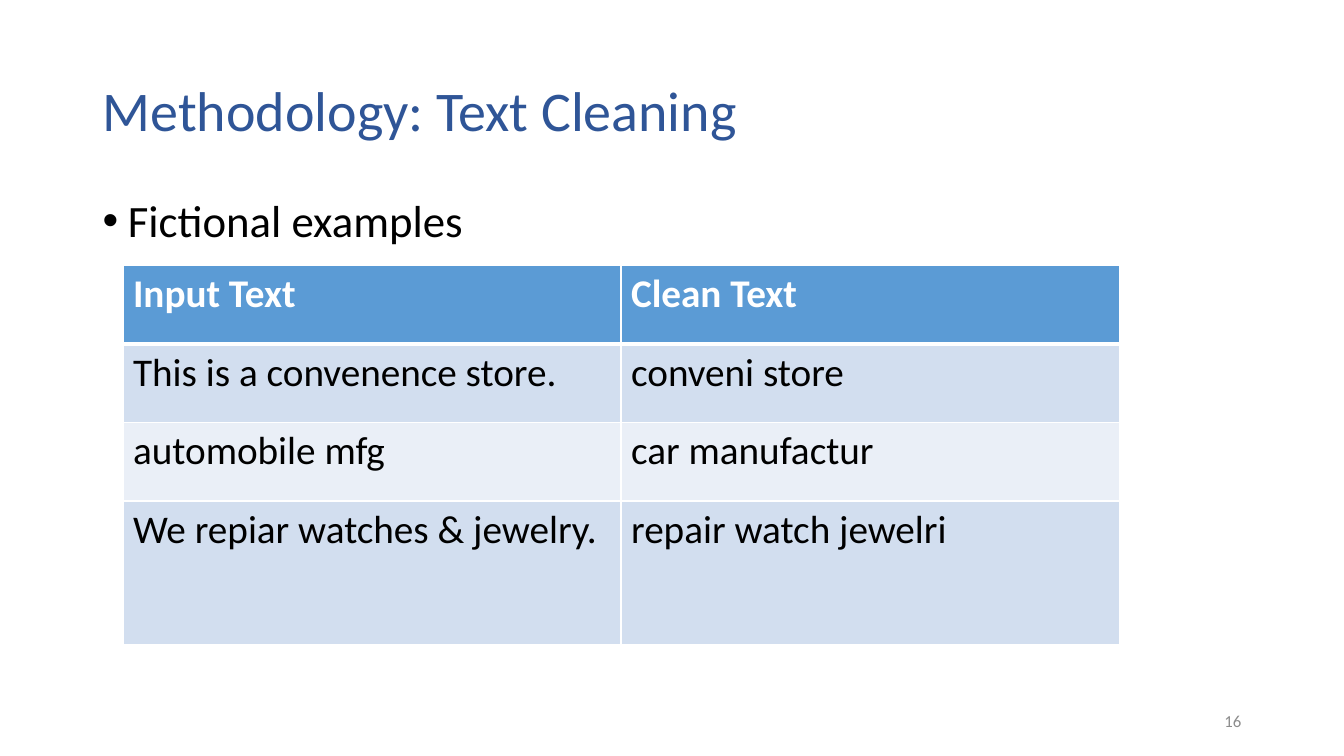
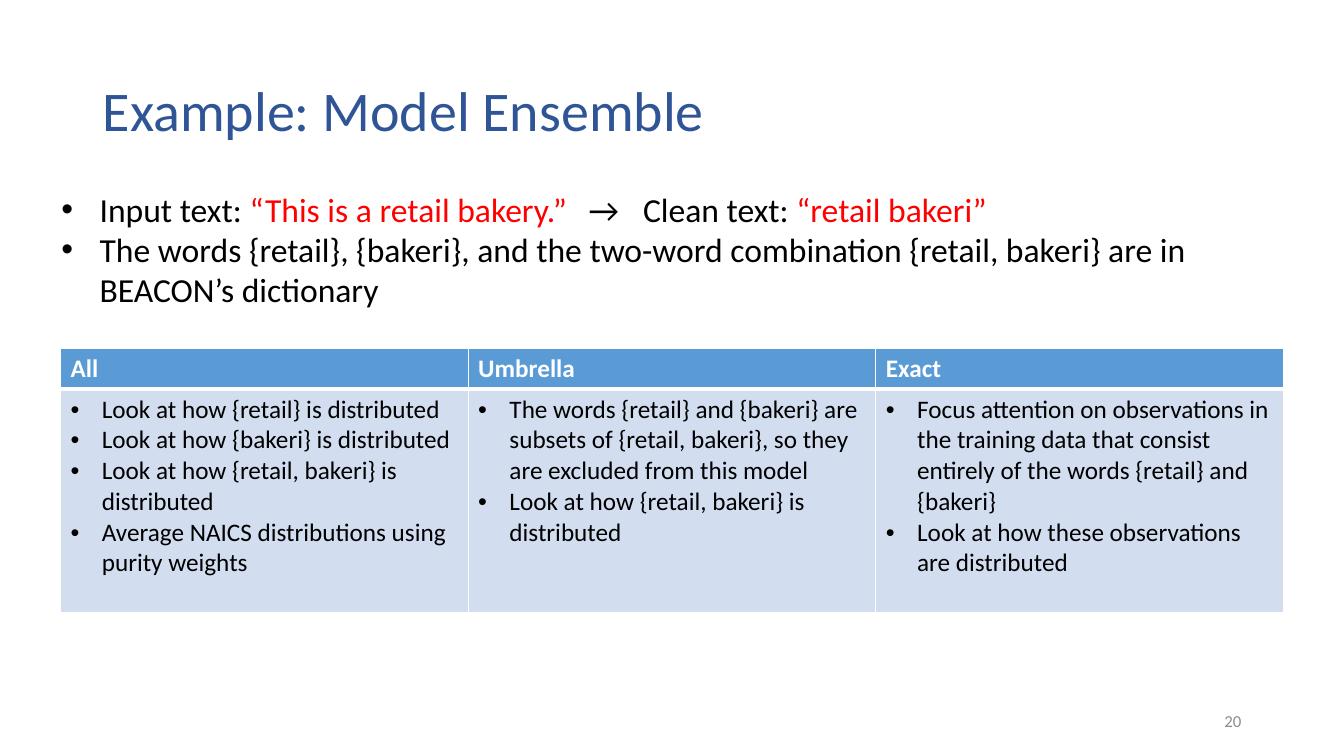
from lxml.etree import SubElement
from pptx import Presentation
from pptx.dml.color import RGBColor as RGB
from pptx.enum.text import MSO_ANCHOR as Anchor, PP_ALIGN as Align
from pptx.oxml import parse_xml
from pptx.oxml.ns import nsdecls, qn
from pptx.util import Inches, Pt

# Shared look
FONT = "Calibri"
NAVY, BLUE, PALE, MIST = "2F5597", "5B9BD5", "D2DEEF", "EAEFF7"
BLACK, WHITE, RED, GRAY = "000000", "FFFFFF", "FF0000", "8C8C8C"
WIDE, HIGH = 13.33, 7.5
EDGE = 0.92

# Content: a paragraph is a string or a list of (text, colour) runs
SLIDES = [
    {
        "title": "Methodology: Text Cleaning",
        "page": "16",
        "text": {
            "box": (EDGE, 1.92, 11.67, 0.65), "size": 32, "hang": 0.25,
            "line": 0.9, "paras": ["Fictional examples"],
        },
        "table": {
            "at": (1.22, 2.63), "width": 9.88, "size": 28,
            "rows": [0.78, 0.78, 0.78, 1.43],
            "head": ["Input Text", "Clean Text"],
            "body": [
                ["This is a convenence store.", "conveni store"],
                ["automobile mfg", "car manufactur"],
                ["We repiar watches & jewelry.", "repair watch jewelri"],
            ],
        },
    },
    {
        "title": "Example: Model Ensemble",
        "page": "20",
        "text": {
            "box": (0.51, 1.82, 11.9, 1.31), "size": 24, "hang": 0.38,
            "tabs": (5.23, 5.77),
            "paras": [
                [("Input text: ", BLACK), ("“This is a retail bakery.”", RED),
                 ("\t→\tClean text: ", BLACK), ("“retail bakeri”", RED)],
                "The words {retail}, {bakeri}, and the two-word combination "
                "{retail, bakeri} are in BEACON’s dictionary",
            ],
        },
        "table": {
            "at": (0.6, 3.46), "width": 12.13, "size": 18, "hang": 0.31,
            "rows": [0.38, 2.22],
            "head": ["All", "Umbrella", "Exact"],
            "body": [[
                ["Look at how {retail} is distributed",
                 "Look at how {bakeri} is distributed",
                 "Look at how {retail, bakeri} is distributed",
                 "Average NAICS distributions using purity weights"],
                ["The words {retail} and {bakeri} are subsets of "
                 "{retail, bakeri}, so they are excluded from this model",
                 "Look at how {retail, bakeri} is distributed"],
                ["Focus attention on observations in the training data that "
                 "consist entirely of the words {retail} and {bakeri}",
                 "Look at how these observations are distributed"],
            ]],
        },
    },
]


def color(code):
    return RGB.from_string(code)


def bullet(para, hang, tabs=()):
    props = para._p.get_or_add_pPr()
    props.set("marL", str(Inches(hang)))
    props.set("indent", str(-Inches(hang)))
    SubElement(props, qn("a:buFont")).set("typeface", "Arial")
    SubElement(props, qn("a:buChar")).set("char", "•")
    if tabs:
        stops = SubElement(props, qn("a:tabLst"))
        for pos in tabs:
            stop = SubElement(stops, qn("a:tab"))
            stop.set("pos", str(Inches(pos)))
            stop.set("algn", "l")


def write(frame, paras, size, ink=BLACK, bold=False, hang=0, tabs=(),
          line=None, align=Align.LEFT):
    frame.word_wrap = True
    for num, item in enumerate(paras):
        para = frame.add_paragraph() if num else frame.paragraphs[0]
        if hang:
            bullet(para, hang, tabs)
        para.alignment = align
        if line:
            para.line_spacing = line
        for text, tint in [(item, ink)] if isinstance(item, str) else item:
            run = para.add_run()
            run.text = text
            font = run.font
            font.name, font.size, font.bold = FONT, Pt(size), bold
            font.color.rgb = color(tint)


def add_text(slide, box, paras, size, anchor=Anchor.TOP, **style):
    frame = slide.shapes.add_textbox(*map(Inches, box)).text_frame
    frame.vertical_anchor = anchor
    write(frame, paras, size, **style)


def paint(cell, fill, base):
    cell.fill.solid()
    cell.fill.fore_color.rgb = color(fill)
    props = cell._tc.get_or_add_tcPr()
    for num, side in enumerate("LRTB"):
        wide = base if side == "B" else 1
        props.insert(num, parse_xml(
            f'<a:ln{side} {nsdecls("a")} w="{Pt(wide)}"><a:solidFill>'
            f'<a:srgbClr val="{WHITE}"/></a:solidFill></a:ln{side}>'))


def add_grid(slide, at, width, size, rows, head, body, hang=0):
    box = (*at, width, sum(rows))
    grid = slide.shapes.add_table(
        len(rows), len(head), *map(Inches, box)).table
    for col in grid.columns:
        col.width = Inches(width / len(head))
    for num, (high, items) in enumerate(zip(rows, [head, *body])):
        grid.rows[num].height = Inches(high)
        top = num == 0
        fill = BLUE if top else PALE if num % 2 else MIST
        for cell, item in zip(grid.rows[num].cells, items):
            paint(cell, fill, 3 if top else 1)
            paras = [item] if isinstance(item, str) else item
            write(cell.text_frame, paras, size, WHITE if top else BLACK,
                  bold=top, hang=0 if top else hang)


def add_title(slide, text):
    title = slide.shapes.title
    title.left, title.top = Inches(EDGE), Inches(0.4)
    title.width, title.height = Inches(WIDE - 2 * EDGE), Inches(1.45)
    title.text_frame.vertical_anchor = Anchor.MIDDLE
    write(title.text_frame, [text], 40, NAVY, line=0.9)


def main():
    deck = Presentation()
    deck.slide_width, deck.slide_height = Inches(WIDE), Inches(HIGH)
    for data in SLIDES:
        slide = deck.slides.add_slide(deck.slide_layouts[5])
        add_title(slide, data["title"])
        add_text(slide, **data["text"])
        add_grid(slide, **data["table"])
        # Page number, flush with the title's right edge
        add_text(slide, (WIDE - EDGE - 3, 6.95, 3, 0.4), [data["page"]], 12,
                 anchor=Anchor.MIDDLE, ink=GRAY, align=Align.RIGHT)
    deck.save("out.pptx")


if __name__ == "__main__":
    main()
